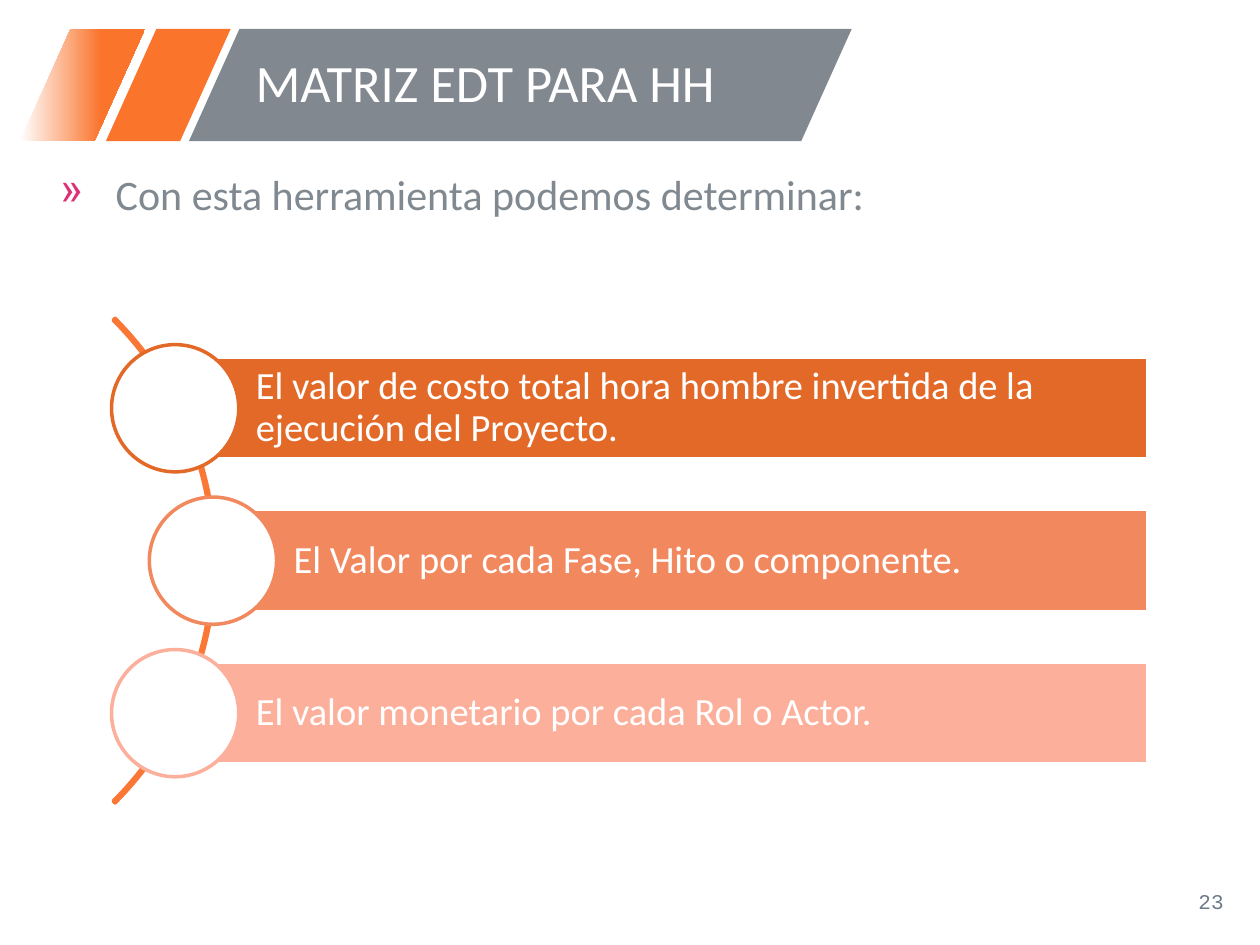
from dataclasses import dataclass

from lxml import etree
from pptx import Presentation
from pptx.dml.color import RGBColor
from pptx.enum.shapes import MSO_SHAPE
from pptx.enum.text import MSO_ANCHOR, PP_ALIGN
from pptx.oxml.ns import qn
from pptx.util import Inches, Pt

PARALLELOGRAM = MSO_SHAPE.PARALLELOGRAM
BLOCK_ARC = MSO_SHAPE.BLOCK_ARC
RECTANGLE = MSO_SHAPE.RECTANGLE
OVAL = MSO_SHAPE.OVAL
TOP = MSO_ANCHOR.TOP
MIDDLE = MSO_ANCHOR.MIDDLE
LEFT = PP_ALIGN.LEFT
RIGHT = PP_ALIGN.RIGHT

COLUMNS, ROWS = 100, 75
SLIDE_WIDTH, SLIDE_HEIGHT = Inches(10), Inches(7.5)


@dataclass(frozen=True)
class Theme:
    font: str = "Calibri"
    number_font: str = "Courier New"
    white: str = "FFFFFF"
    orange: str = "FA742C"
    arc: str = "FA7735"
    banner: str = "81888F"
    body: str = "818990"
    bullet: str = "DE3075"
    number: str = "6C7A8A"
    items: tuple = ("E36928", "F2885E", "FCAF9A")
    title_size: int = 30
    body_size: int = 24
    item_size: int = 22
    number_size: int = 12
    line_width: int = 2


THEME = Theme()
BANNER_TOP, BANNER_HEIGHT = 2.3, 8.9
BANNER_SLANT = 0.45
ARC_CENTER_X, ARC_CENTER_Y, ARC_SIZE = -10.1, 44.5, 54.4
ITEM_PITCH, BAR_HEIGHT, BAR_RIGHT, CIRCLE_SIZE = 12.1, 8.1, 91.1, 10.1
ITEMS = (
    (13.9, "El valor de costo total hora hombre invertida de la ejecución del Proyecto."),
    (16.9, "El Valor por cada Fase, Hito o componente."),
    (13.9, "El valor monetario por cada Rol o Actor."),
)


def grid_box(left, top, width, height):
    column, row = SLIDE_WIDTH / COLUMNS, SLIDE_HEIGHT / ROWS
    return round(left * column), round(top * row), round(width * column), round(height * row)


def color(value):
    return RGBColor.from_string(value)


def add_shape(slide, kind, box, fill=None, line=None):
    shape = slide.shapes.add_shape(kind, *grid_box(*box))
    shape.shadow.inherit = False
    if fill:
        shape.fill.solid()
        shape.fill.fore_color.rgb = color(fill)
    else:
        shape.fill.background()
    if line:
        shape.line.color.rgb = color(line)
        shape.line.width = Pt(THEME.line_width)
    else:
        shape.line.fill.background()
    return shape


def write_text(shape, text, size, text_color, font=THEME.font,
               align=LEFT, anchor=MIDDLE, spacing=0.9):
    frame = shape.text_frame
    frame.word_wrap = True
    frame.vertical_anchor = anchor
    paragraph = frame.paragraphs[0]
    paragraph.text = text
    paragraph.alignment = align
    paragraph.line_spacing = spacing
    paragraph.font.name = font
    paragraph.font.size = Pt(size)
    paragraph.font.color.rgb = color(text_color)
    return paragraph


def add_text(slide, box, *args, **options):
    return write_text(slide.shapes.add_textbox(*grid_box(*box)), *args, **options)


def add_bullet(paragraph, character, bullet_color):
    properties = paragraph._p.get_or_add_pPr()
    properties.set("marL", str(Inches(0.5)))
    properties.set("indent", str(Inches(-0.44)))
    holder = etree.Element(qn("a:buClr"))
    etree.SubElement(holder, qn("a:srgbClr"), val=bullet_color)
    mark = etree.Element(qn("a:buChar"), char=character)
    position = 1 if properties.find(qn("a:lnSpc")) is not None else 0
    properties.insert(position, holder)
    properties.insert(position + 1, mark)


def add_banner(slide):
    stripes = ((8.4, 9.9, THEME.orange), (1.6, 9.9, None), (15, 52.6, THEME.banner))
    for left, width, fill in stripes:
        stripe = add_shape(slide, PARALLELOGRAM, (left, BANNER_TOP, width, BANNER_HEIGHT), fill)
        stripe.adjustments[0] = BANNER_SLANT
        if fill is None:
            add_fade(stripe)
    add_text(slide, (19.3, BANNER_TOP, 46.9, BANNER_HEIGHT), "MATRIZ EDT PARA HH",
             THEME.title_size, THEME.white)


def add_fade(shape):
    shape.fill.gradient()
    shape.fill.gradient_angle = 0
    stops = ((0, THEME.white), (0.65, THEME.orange))
    for stop, (position, stop_color) in zip(shape.fill.gradient_stops, stops):
        stop.position = position
        stop.color.rgb = color(stop_color)


def add_arc(slide):
    box = (ARC_CENTER_X - ARC_SIZE / 2, ARC_CENTER_Y - ARC_SIZE / 2, ARC_SIZE, ARC_SIZE)
    arc = add_shape(slide, BLOCK_ARC, box, line=THEME.arc)
    for index, value in enumerate((189, 27, 0.004)):
        arc.adjustments[index] = value


def add_item(slide, center_x, center_y, text, item_color):
    bar = add_shape(slide, RECTANGLE,
                    (center_x, center_y - BAR_HEIGHT / 2, BAR_RIGHT - center_x, BAR_HEIGHT),
                    item_color, THEME.white)
    write_text(bar, text, THEME.item_size, THEME.white)
    frame = bar.text_frame
    frame.margin_left = Inches(0.64)
    frame.margin_top = frame.margin_right = frame.margin_bottom = Inches(0.06)
    radius = CIRCLE_SIZE / 2
    add_shape(slide, OVAL, (center_x - radius, center_y - radius, CIRCLE_SIZE, CIRCLE_SIZE),
              THEME.white, item_color)


def main():
    presentation = Presentation()
    presentation.slide_width, presentation.slide_height = SLIDE_WIDTH, SLIDE_HEIGHT
    slide = presentation.slides.add_slide(presentation.slide_layouts[6])

    add_banner(slide)
    add_text(slide, (75.6, 69.5, 22.5, 4), "23", THEME.number_size, THEME.number,
             font=THEME.number_font, align=RIGHT, spacing=1)
    lead = add_text(slide, (3.2, 13.3, 93.6, 8.9), "Con esta herramienta podemos determinar:",
                    THEME.body_size, THEME.body, anchor=TOP)
    add_bullet(lead, "»", THEME.bullet)

    add_arc(slide)
    for index, ((center_x, text), item_color) in enumerate(zip(ITEMS, THEME.items)):
        add_item(slide, center_x, ARC_CENTER_Y + (index - 1) * ITEM_PITCH, text, item_color)

    presentation.save("out.pptx")


if __name__ == "__main__":
    main()
